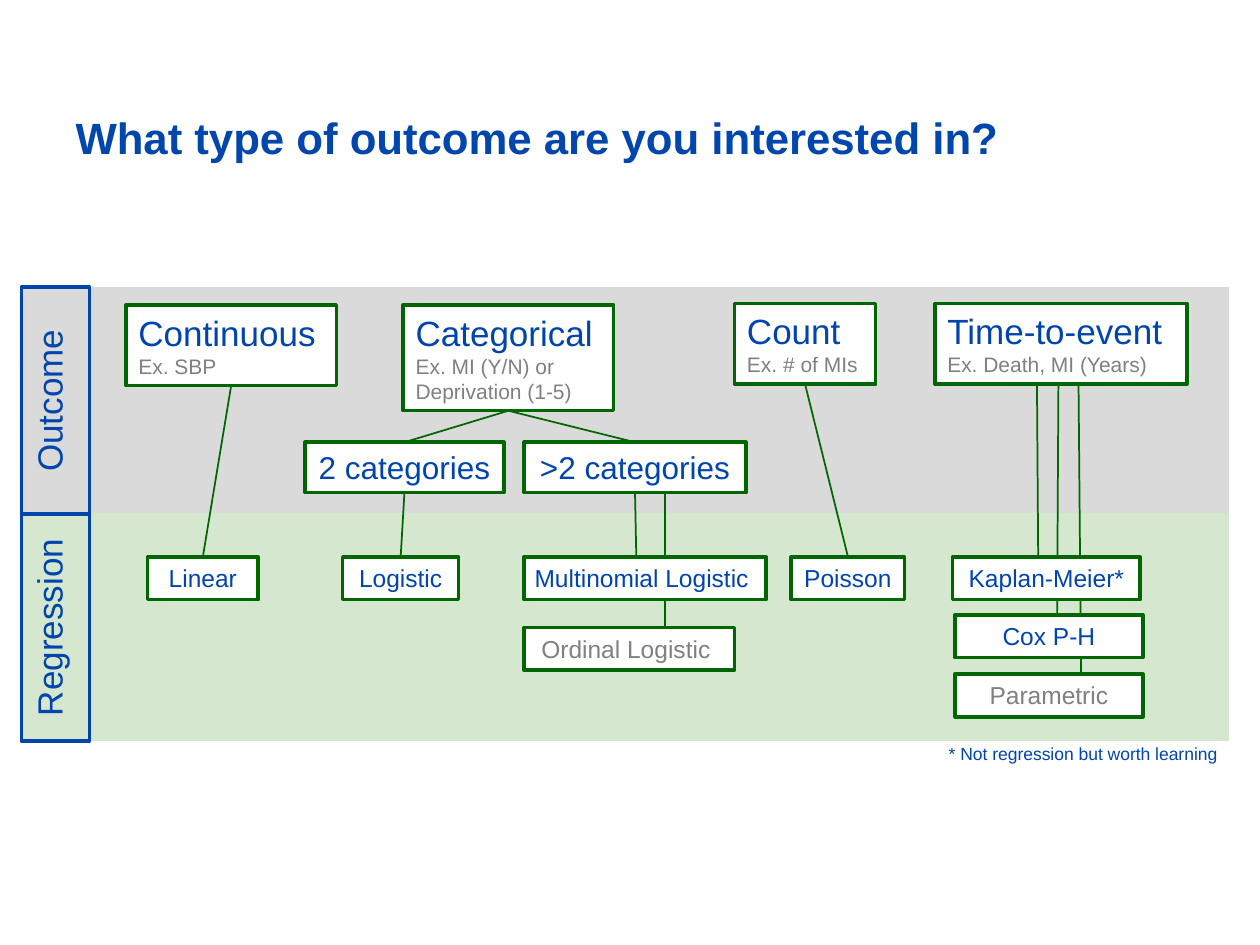
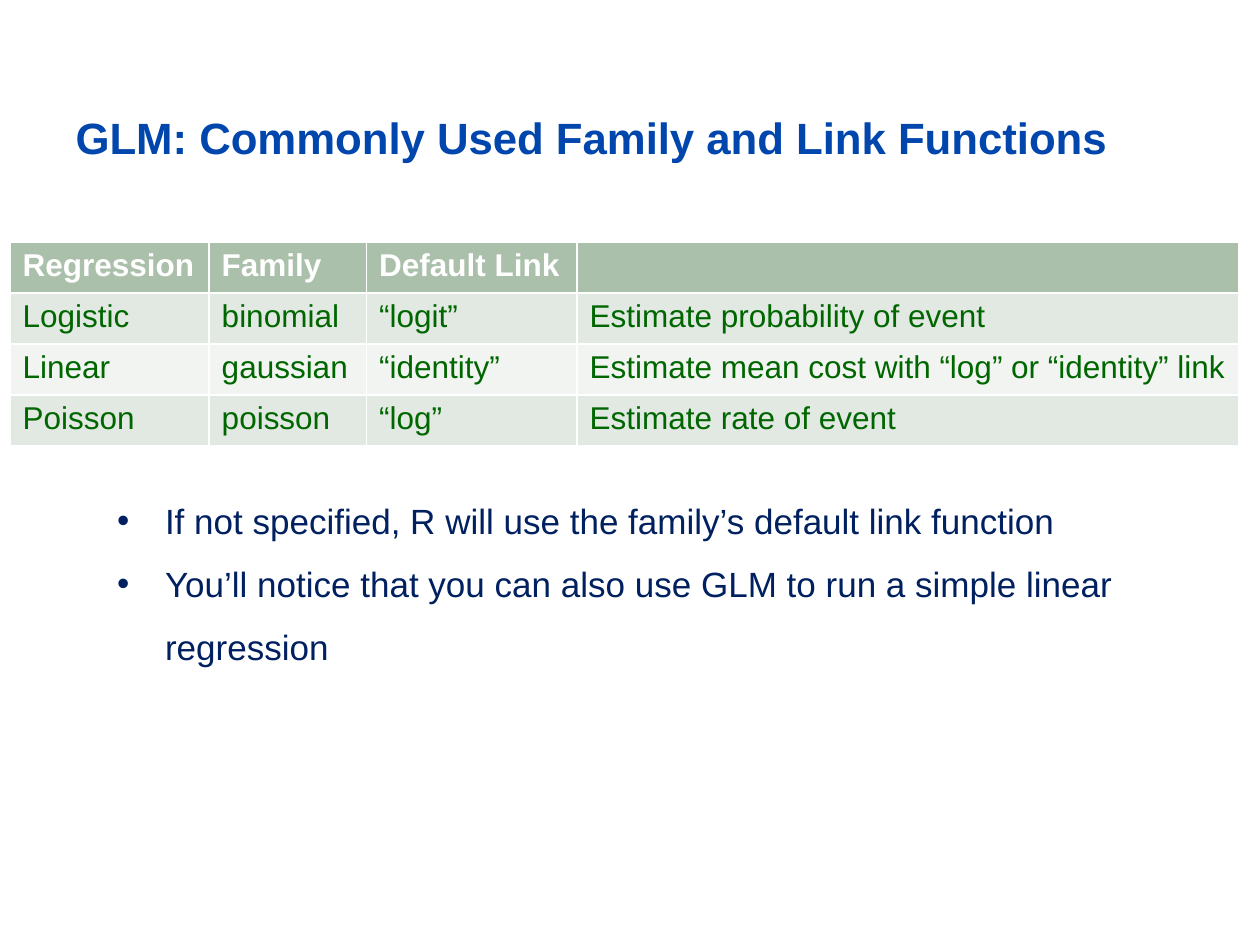
import pptx
import pptx.util
import pptx.dml.color
import pptx.enum.shapes
import pptx.enum.text
import pptx.oxml
import pptx.oxml.ns

Inches, Pt = pptx.util.Inches, pptx.util.Pt
ALIGN = pptx.enum.text.PP_ALIGN
ANCHOR = pptx.enum.text.MSO_ANCHOR
RECTANGLE = pptx.enum.shapes.MSO_SHAPE.RECTANGLE
STRAIGHT = pptx.enum.shapes.MSO_CONNECTOR.STRAIGHT

FONT = "Arial"
COLORS = {
    "title": "0046AD", "blue": "0045AE", "green": "006600", "gray": "808080",
    "white": "FFFFFF", "navy": "002060", "outcome": "DADADA",
    "regression": "D5E7CF", "header": "AAC0AA", "odd": "E2E8E2", "even": "F1F4F1",
}
TITLE_AREA = (0.5, 0.83, 11.5, 1.45)

# Outcome slide
OUTCOME_TITLE = "What type of outcome are you interested in?"
BAND_LEFT, BAND_TOP, BAND_WIDTH, BAND_HEIGHT, LABEL_WIDTH = 0.17, 2.28, 9.58, 1.8, 0.54
BANDS = [("Outcome", "outcome"), ("Regression", "regression")]
OUTCOMES = [  # name, example, area
    ("Continuous", "Ex. SBP", (1, 2.42, 1.67, 0.64)),
    ("Categorical", "Ex. MI (Y/N) or Deprivation (1-5)", (3.2, 2.42, 1.67, 0.84)),
    ("Count", "Ex. # of MIs", (5.83, 2.41, 1.12, 0.64)),
    ("Time-to-event", "Ex. Death, MI (Years)", (7.42, 2.41, 2, 0.64)),
]
CATEGORY_TOP, CATEGORY_HEIGHT = 3.51, 0.4
CATEGORIES = [("2 categories", 2.42, 1.58), (">2 categories", 4.16, 1.76)]
MODEL_HEIGHT = 0.34
MODELS = [  # name, left, top, width, colour
    ("Linear", 1.17, 4.42, 0.88, "blue"),
    ("Logistic", 2.72, 4.42, 0.92, "blue"),
    ("Multinomial Logistic ", 4.16, 4.42, 1.92, "blue"),
    ("Ordinal Logistic ", 4.16, 4.98, 1.67, "gray"),
    ("Poisson", 6.28, 4.42, 0.9, "blue"),
    ("Kaplan-Meier*", 7.56, 4.42, 1.49, "blue"),
    ("Cox P-H", 7.58, 4.88, 1.49, "blue"),
    ("Parametric", 7.58, 5.35, 1.49, "gray"),
]
LINKS = [
    ("Continuous", "Linear"), ("Categorical", "2 categories"),
    ("Categorical", ">2 categories"), ("2 categories", "Logistic"),
    ("Count", "Poisson"),
]
HALF_LINK = (">2 categories", (5.05, 4.42))
LINES_BEHIND = [  # start, end; they pass under the model boxes
    ((5.28, 3.91), (5.28, 4.98)),
    ((8.23, 3.05), (8.24, 4.44)),
    ((8.4, 3.06), (8.39, 4.88)),
    ((8.56, 3.05), (8.58, 5.35)),
]
FOOTNOTE = "* Not regression but worth learning"
FOOTNOTE_AREA = (7.43, 5.85, 2.33, 0.27)

# Family and link slide
GLM_TITLE = "GLM: Commonly Used Family and Link Functions"
TABLE_AREA = (0.08, 1.92, 9.75, 1.62)
COLUMN_WIDTHS = [1.58, 1.25, 1.67, 5.25]
TABLE_ROWS = [
    ("Regression", "Family", "Default Link", ""),
    ("Logistic", "binomial", "“logit”", "Estimate probability of event"),
    ("Linear", "gaussian", "“identity”", "Estimate mean cost with “log” or “identity” link"),
    ("Poisson", "poisson", "“log”", "Estimate rate of event"),
]
BULLETS = [
    "If not specified, R will use the family’s default link function",
    "You’ll notice that you can also use GLM to run a simple linear regression",
]
BULLET_AREA = (0.83, 3.75, 8.58, 2.62)
BULLET_INDENT = 0.38


def rgb(name):
    return pptx.dml.color.RGBColor.from_string(COLORS[name])


def inches(values):
    return [Inches(value) for value in values]


def add_span(para, text, size, color, bold=False):
    span = para.add_run()
    span.text = text
    span.font.name = FONT
    span.font.size = Pt(size)
    span.font.bold = bold
    span.font.color.rgb = rgb(color)


def place(shape, area):
    shape.left, shape.top, shape.width, shape.height = inches(area)
    shape.text_frame.vertical_anchor = ANCHOR.TOP
    shape.text_frame.auto_size = pptx.enum.text.MSO_AUTO_SIZE.NONE


def add_page(deck, layout, title):
    page = deck.slides.add_slide(deck.slide_layouts[layout])
    place(page.shapes.title, TITLE_AREA)
    para = page.shapes.title.text_frame.paragraphs[0]
    para.alignment = ALIGN.LEFT
    add_span(para, title, 25, "title", bold=True)
    return page


def add_box(page, area, fill, line, width, lines=(), align=ALIGN.CENTER, wrap=False):
    """Add a rectangle whose lines are (text, size, colour)."""
    box = page.shapes.add_shape(RECTANGLE, *inches(area))
    box.shadow.inherit = False
    box.fill.solid()
    box.fill.fore_color.rgb = rgb(fill)
    box.line.color.rgb = rgb(line)
    box.line.width = Pt(width)
    frame = box.text_frame
    frame.word_wrap = wrap
    frame.vertical_anchor = ANCHOR.TOP
    for index, line_style in enumerate(lines):
        para = frame.add_paragraph() if index else frame.paragraphs[0]
        para.alignment = align
        add_span(para, *line_style)
    return box


def add_line(page, start=(0, 0), end=(0, 0)):
    line = page.shapes.add_connector(STRAIGHT, *inches(start + end))
    line.line.color.rgb = rgb("green")
    line.line.width = Pt(1)
    properties = line.element.spPr
    properties.append(properties.makeelement(pptx.oxml.ns.qn("a:effectLst"), {}))
    return line


def build_outcomes(deck):
    page = add_page(deck, 5, OUTCOME_TITLE)
    for index, (label, color) in enumerate(BANDS):
        top = BAND_TOP + index * BAND_HEIGHT
        add_box(page, (BAND_LEFT, top, BAND_WIDTH, BAND_HEIGHT), color, color, 0.75)
    for index, (label, color) in enumerate(BANDS):
        top = BAND_TOP + index * BAND_HEIGHT
        box = add_box(page, (BAND_LEFT, top, LABEL_WIDTH, BAND_HEIGHT), color, "blue", 2,
                      [(label, 20, "blue")])
        box.element.txBody.bodyPr.set("vert", "vert270")

    for start, end in LINES_BEHIND:
        add_line(page, start, end)

    boxes = {}
    for name, example, area in OUTCOMES:
        lines = [(name, 20, "blue"), (example, 12, "gray")]
        boxes[name] = add_box(page, area, "white", "green", 2, lines, ALIGN.LEFT, wrap=True)
    for name, left, width in CATEGORIES:
        area = (left, CATEGORY_TOP, width, CATEGORY_HEIGHT)
        boxes[name] = add_box(page, area, "white", "green", 2, [(name, 18, "blue")])
    for name, left, top, width, color in MODELS:
        area = (left, top, width, MODEL_HEIGHT)
        boxes[name] = add_box(page, area, "white", "green", 2, [(name, 14, color)])

    for source, target in LINKS:
        line = add_line(page)
        line.begin_connect(boxes[source], 2)
        line.end_connect(boxes[target], 0)
    source, end = HALF_LINK
    add_line(page, end=end).begin_connect(boxes[source], 2)

    note = page.shapes.add_textbox(*inches(FOOTNOTE_AREA))
    note.text_frame.word_wrap = False
    para = note.text_frame.paragraphs[0]
    para.alignment = ALIGN.CENTER
    add_span(para, FOOTNOTE, 10, "blue")


def build_families(deck):
    page = add_page(deck, 1, GLM_TITLE)
    table = page.shapes.add_table(len(TABLE_ROWS), len(COLUMN_WIDTHS), *inches(TABLE_AREA)).table
    for column, width in zip(table.columns, COLUMN_WIDTHS):
        column.width = Inches(width)
    for row, texts in enumerate(TABLE_ROWS):
        fill = "header" if row == 0 else ("odd" if row % 2 else "even")
        for column, text in enumerate(texts):
            cell = table.cell(row, column)
            cell.fill.solid()
            cell.fill.fore_color.rgb = rgb(fill)
            if text:
                color = "green" if row else "white"
                add_span(cell.text_frame.paragraphs[0], text, 18, color, bold=row == 0)

    body = page.placeholders[1]
    place(body, BULLET_AREA)
    for index, text in enumerate(BULLETS):
        para = body.text_frame.add_paragraph() if index else body.text_frame.paragraphs[0]
        para.line_spacing = 1.5
        para.space_before = Pt(0)
        properties = para._p.get_or_add_pPr()
        properties.set("marL", str(Inches(BULLET_INDENT)))
        properties.set("indent", str(-Inches(BULLET_INDENT)))
        add_span(para, text, 20, "navy")


def main():
    deck = pptx.Presentation()
    deck.slide_width, deck.slide_height = Inches(10), Inches(7.5)
    build_outcomes(deck)
    build_families(deck)
    deck.save("out.pptx")


if __name__ == "__main__":
    main()
